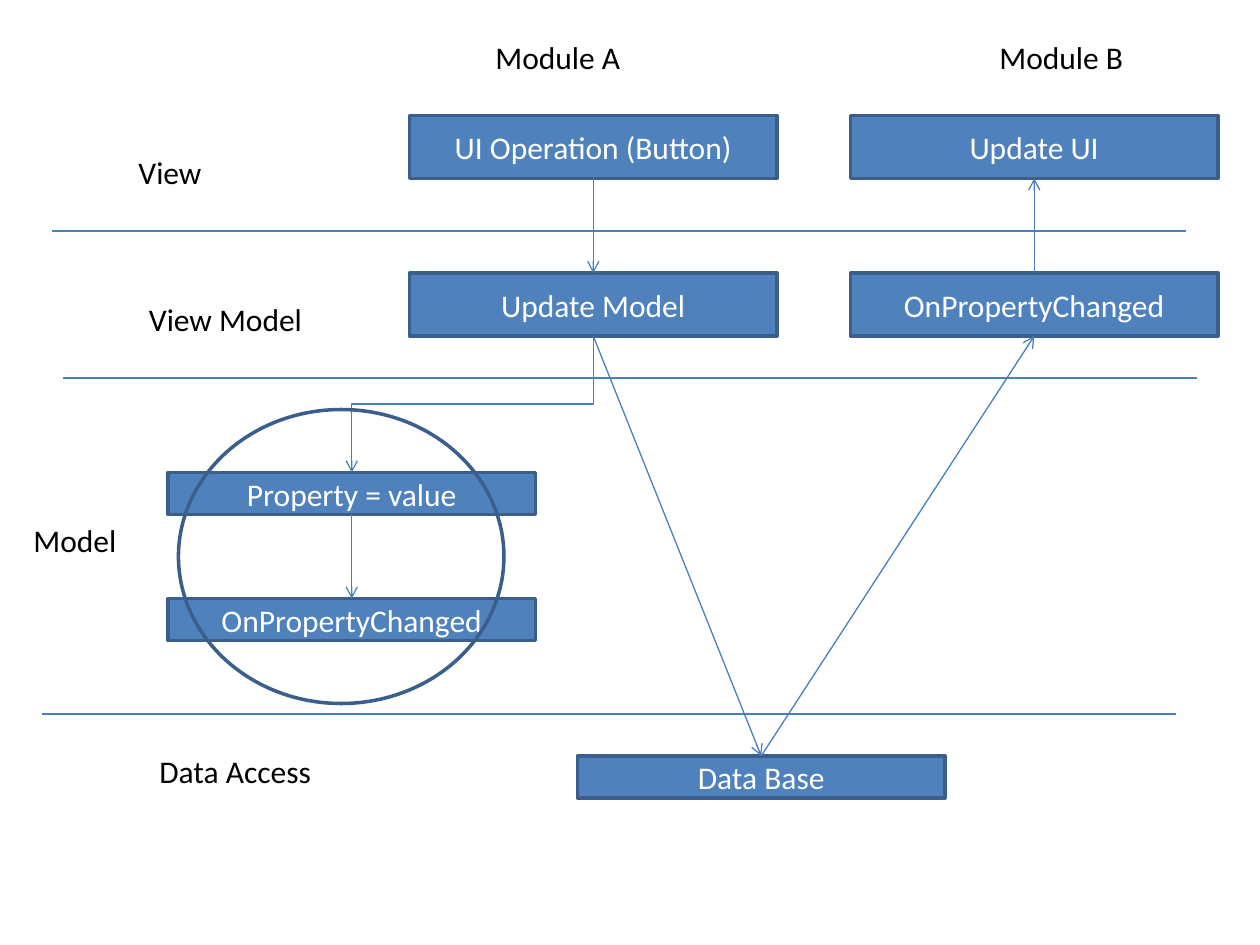
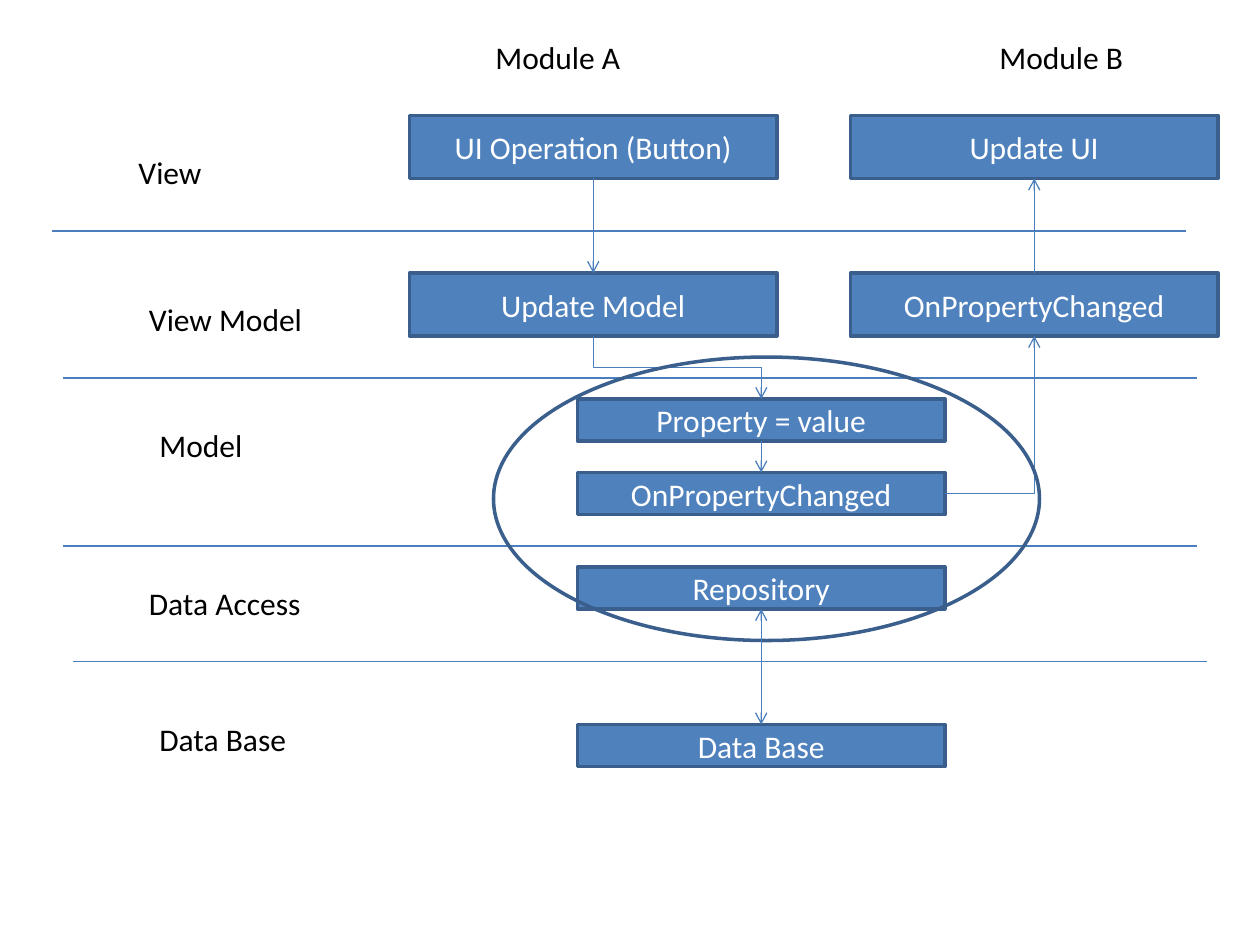
from lxml import etree
from pptx import Presentation, util as u
from pptx.dml.color import RGBColor
from pptx.enum import shapes, text
from pptx.oxml.ns import qn

COLORS = {"box": "4F81BD", "edge": "3A5F8C", "line": "4B7EBC",
          "label": "000000", "box_text": "FFFFFF"}
FONT, SIZE = "Calibri", 18
TOP, BOTTOM, RIGHT = 0, 2, 3  # connection sites of a rectangle
BOX_W, TALL, FLAT = 35, 6, 4
LABEL_H, DIVIDER_W = 4.8, 108
MODULE_A, MODULE_B, CENTER, LEFT = 39, 81, 55, 16  # box columns
LABEL_W = {"View": 8.5, "View Model": 17.2, "Model": 10.4, "Data Access": 17,
           "Data Base": 14.6, "Module A": 14.4, "Module B": 14.4}


def grid(n):
    """Turn grid units (twelfths of an inch) into a length."""
    return u.Inches(n / 12)


def rgb(name):
    """Look up a colour by its role."""
    return RGBColor.from_string(COLORS[name])


def write(sp, words, color="label", align=text.PP_ALIGN.LEFT):
    """Put formatted text into a shape."""
    p = sp.text_frame.paragraphs[0]
    p.alignment = align
    r = p.add_run()
    r.text = words
    r.font.name, r.font.size = FONT, u.Pt(SIZE)
    r.font.color.rgb = rgb(color)


class Diagram:
    """The shared style and the slide being drawn."""

    def __init__(self, prs):
        self.prs, self.s = prs, None

    def new_slide(self):
        """Start a blank slide."""
        self.s = self.prs.slides.add_slide(self.prs.slide_layouts[6])

    def label(self, words, col, row):
        """Add a caption that does not wrap."""
        sp = self.s.shapes.add_textbox(
            *map(grid, (col, row, LABEL_W[words], LABEL_H)))
        tf = sp.text_frame
        tf.word_wrap = False
        tf.auto_size = text.MSO_AUTO_SIZE.SHAPE_TO_FIT_TEXT
        write(sp, words)

    def outline(self, kind, *place):
        """Add a preset shape with the dark edge and no shadow."""
        sp = self.s.shapes.add_shape(kind, *map(grid, place))
        sp.shadow.inherit = False
        sp.line.color.rgb, sp.line.width = rgb("edge"), u.Pt(2)
        return sp

    def box(self, words, col, row, height=FLAT):
        """Add a filled step box."""
        sp = self.outline(shapes.MSO_SHAPE.RECTANGLE, col, row, BOX_W, height)
        sp.fill.solid()
        sp.fill.fore_color.rgb = rgb("box")
        sp.text_frame.vertical_anchor = text.MSO_ANCHOR.MIDDLE
        write(sp, words, color="box_text", align=text.PP_ALIGN.CENTER)
        return sp

    def ring(self, *place):
        """Circle a group of boxes."""
        self.outline(shapes.MSO_SHAPE.OVAL, *place).fill.background()

    def connector(self, kind, *ends, arrows=()):
        """Add a thin line, with arrowheads at the named ends."""
        c = self.s.shapes.add_connector(kind, *ends)
        c.line.color.rgb, c.line.width = rgb("line"), u.Pt(0.75)
        for end in arrows:
            etree.SubElement(c.line._get_or_add_ln(), qn(f"a:{end}"), type="arrow")
        etree.SubElement(c._element.spPr, qn("a:effectLst"))
        return c

    def divider(self, col, row):
        """Separate two layers."""
        self.connector(shapes.MSO_CONNECTOR.STRAIGHT,
                       *map(grid, (col, row, col + DIVIDER_W, row)))

    def link(self, a, b, start=BOTTOM, end=TOP, elbow=False, arrows=("tailEnd",)):
        """Connect two boxes with a straight or bent arrow."""
        kind = shapes.MSO_CONNECTOR.ELBOW if elbow else shapes.MSO_CONNECTOR.STRAIGHT
        c = self.connector(kind, 0, 0, 0, 0, arrows=arrows)
        (c.begin_x, c.begin_y), (c.end_x, c.end_y) = site(a, start), site(b, end)
        c.begin_connect(a, start)
        c.end_connect(b, end)
        if elbow and start == RIGHT:
            c._element.spPr.find(qn("a:prstGeom")).set("prst", "bentConnector2")
        elif elbow:
            stand_up(c)


def site(sp, side):
    """Give the point of a box's connection site."""
    if side == RIGHT:
        return sp.left + sp.width, sp.top + sp.height // 2
    return sp.left + sp.width // 2, sp.top + (sp.height if side == BOTTOM else 0)


def stand_up(c):
    """Turn a three-part elbow so that it leaves and arrives vertically."""
    to_right = c.end_x > c.begin_x
    mid_x, mid_y = c.left + c.width // 2, c.top + c.height // 2
    c.width, c.height = c.height, c.width
    c.left, c.top = mid_x - c.width // 2, mid_y - c.height // 2
    xfrm = c._element.spPr.find(qn("a:xfrm"))
    xfrm.set("rot", str((270 if to_right else 90) * 60000))
    xfrm.set("flipH", "1" if to_right else "0")


def module_frame(d, layers, dividers):
    """Draw what both slides share; return the module boxes."""
    d.new_slide()
    for words, col, row in [("View", 12, 14), ("View Model", 13, 28), *layers,
                            ("Module A", 46, 3), ("Module B", 94, 3)]:
        d.label(words, col, row)
    for col, row in [(5, 22), (6, 36), *dividers]:
        d.divider(col, row)
    operation = d.box("UI Operation (Button)", MODULE_A, 11, TALL)
    update = d.box("Update Model", MODULE_A, 26, TALL)
    changed = d.box("OnPropertyChanged", MODULE_B, 26, TALL)
    refresh = d.box("Update UI", MODULE_B, 11, TALL)
    d.link(operation, update)
    d.link(changed, refresh, TOP, BOTTOM)
    return update, changed


def direct_slide(d):
    """Modules that talk to the data base directly."""
    update, changed = module_frame(
        d, [("Model", 2, 49), ("Data Access", 14, 71)], [(4, 68)])
    value = d.box("Property = value", LEFT, 45)
    notify = d.box("OnPropertyChanged", LEFT, 57)
    base = d.box("Data Base", CENTER, 72)
    d.link(value, notify)
    d.link(update, value, elbow=True)
    d.ring(17, 39, 31, 28)
    d.link(update, base)
    d.link(base, changed, TOP, BOTTOM)


def repository_slide(d):
    """Modules that share a model and a repository."""
    update, changed = module_frame(
        d, [("Model", 14, 40), ("Data Access", 13, 55), ("Data Base", 14, 68)],
        [(6, 52), (7, 63)])
    value = d.box("Property = value", CENTER, 38)
    notify = d.box("OnPropertyChanged", CENTER, 45)
    repository = d.box("Repository", CENTER, 54)
    base = d.box("Data Base", CENTER, 69)
    d.link(value, notify)
    d.link(update, value, elbow=True)
    d.link(notify, changed, RIGHT, BOTTOM, elbow=True)
    d.ring(47, 34, 52, 27)
    d.link(repository, base, arrows=("headEnd", "tailEnd"))


prs = Presentation()
prs.slide_width, prs.slide_height = grid(120), grid(90)
diagram = Diagram(prs)
direct_slide(diagram)
repository_slide(diagram)
prs.save("out.pptx")
